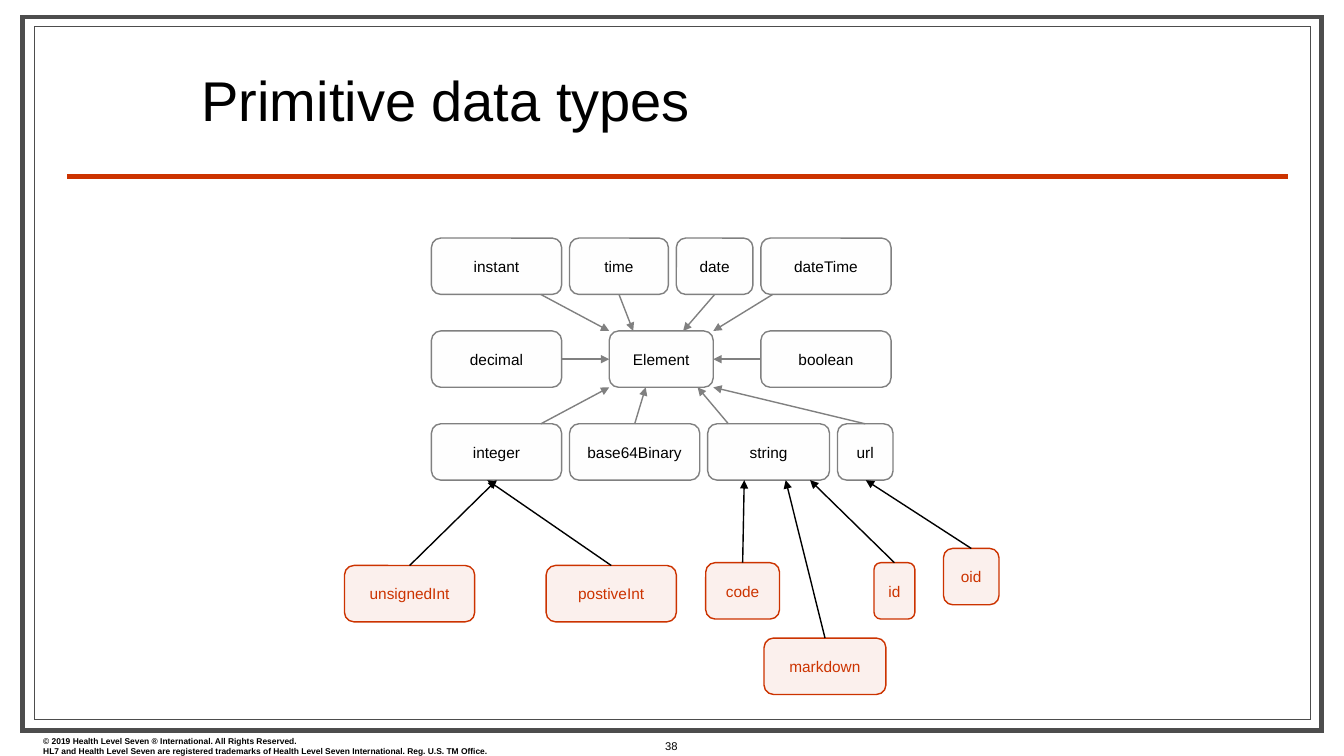
from dataclasses import dataclass
from lxml.etree import SubElement as Sub
from pptx import Presentation
from pptx.dml.color import RGBColor as Rgb
from pptx.enum.shapes import MSO_CONNECTOR as Line, MSO_SHAPE as Shape
from pptx.enum.text import MSO_ANCHOR as Anchor, MSO_AUTO_SIZE as Fit, PP_ALIGN as Align
from pptx.oxml.ns import qn
from pptx.util import Cm, Pt

# Content: rows of base types as (name, width), in cm
TITLE = "Primitive data types"
LEGAL = [
    "© 2019 Health Level Seven ® International. All Rights Reserved.",
    "HL7 and Health Level Seven are registered trademarks of Health Level Seven "
    "International. Reg. U.S. TM Office.",
]
PAGE = "38"
ROWS = [
    [("instant", 3.28), ("time", 2.49), ("date", 1.93), ("dateTime", 3.28)],
    [("decimal", 3.28), ("Element", 2.62), ("boolean", 3.28)],
    [("integer", 3.28), ("base64Binary", 3.28), ("string", 3.07), ("url", 1.4)],
]
ROW_GAPS = [0.2, 1.2, 0.2]
# Derived types: name, left, top, width
DERIVED = [
    ("unsignedInt", 8.68, 14.25, 3.28),
    ("postiveInt", 13.76, 14.25, 3.28),
    ("code", 17.78, 14.18, 1.86),
    ("id", 22.02, 14.18, 1.03),
    ("oid", 23.77, 13.82, 1.4),
    ("markdown", 19.25, 16.08, 3.07),
]
# Links: child, parent, and how far along each edge the line meets the box
LINKS = [
    ("decimal", "Element", 0.5, 0.5),
    ("boolean", "Element", 0.5, 0.5),
    ("integer", "Element", 0.84, 0),
    ("string", "Element", 0.17, 0.85),
    ("base64Binary", "Element", 0.5, 0.35),
    ("url", "Element", 0.5, 1),
    ("instant", "Element", 0.84, 0),
    ("time", "Element", 0.5, 0.23),
    ("date", "Element", 0.5, 0.71),
    ("dateTime", "Element", 0.09, 1),
    ("unsignedInt", "integer", 0.5, 0.5),
    ("postiveInt", "integer", 0.5, 0.43),
    ("code", "string", 0.5, 0.3),
    ("id", "string", 0.5, 0.84),
    ("markdown", "string", 0.5, 0.64),
    ("oid", "url", 0.5, 0.51),
]


@dataclass(frozen=True)
class Theme:
    font: str = "Arial"
    ink: str = "000000"
    paper: str = "FFFFFF"
    frame: str = "4D4D4D"
    accent: str = "CC3300"
    edge: str = "808080"
    pale: str = "F2F2F2"
    alpha: int = 7
    title: int = 40
    label: int = 11
    page: int = 8
    legal: int = 6


LOOK = Theme()
LEFT, TOP, PITCH, HIGH = 10.87, 6, 2.34, 1.42

deck = Presentation()
deck.slide_width, deck.slide_height = Cm(33.86), Cm(19.05)
slide = deck.slides.add_slide(deck.slide_layouts[5])
shapes = slide.shapes


def write(para, text, size, color=LOOK.ink, bold=False):
    run = para.add_run()
    run.text = text
    font = run.font
    font.name, font.size, font.bold = LOOK.font, Pt(size), bold
    font.color.rgb = Rgb.from_string(color)


def block(kind, place, fill, edge, weight):
    shape = shapes.add_shape(kind, *map(Cm, place))
    shape.shadow.inherit = False
    shape.fill.solid()
    shape.fill.fore_color.rgb = Rgb.from_string(fill)
    shape.line.color.rgb = Rgb.from_string(edge)
    shape.line.width = Pt(weight)
    return shape


def border(place, weight):
    shape = block(Shape.RECTANGLE, place, LOOK.paper, LOOK.frame, weight)
    Sub(shape._element.spPr.find(qn("a:ln")), qn("a:miter"), lim="800000")


def rule(start, end, color, weight, arrow=False):
    line = shapes.add_connector(Line.STRAIGHT, *map(Cm, start + end))
    line.line.color.rgb = Rgb.from_string(color)
    line.line.width = Pt(weight)
    props = line._element.spPr
    if arrow:
        Sub(props.find(qn("a:ln")), qn("a:tailEnd"), type="triangle")
    Sub(props, qn("a:effectLst"))


def note(place, lines, size, wrap, bold=False):
    frame = shapes.add_textbox(*map(Cm, place)).text_frame
    frame.word_wrap = wrap
    for i, text in enumerate(lines):
        para = frame.add_paragraph() if i else frame.paragraphs[0]
        write(para, text, size, bold=bold)


def node(name, place, fill, edge, ink):
    shape = block(Shape.ROUNDED_RECTANGLE, place, fill, edge, 1)
    tint = shape._element.spPr.find(qn("a:solidFill"))[0]
    Sub(tint, qn("a:alpha"), val=str(LOOK.alpha * 1000))
    frame = shape.text_frame
    frame.vertical_anchor = Anchor.MIDDLE
    frame.paragraphs[0].alignment = Align.CENTER
    write(frame.paragraphs[0], name, LOOK.label, ink)


def ends(child, parent, near, far):
    """Join facing sides in one row, else facing top and bottom edges."""
    (x, y, w, _), (px, py, pw, _) = child, parent
    if y == py:
        right = x < px
        return ((x + w * right, y + HIGH * near),
                (px + pw * (not right), py + HIGH * far))
    above = y < py
    return ((x + w * near, y + HIGH * above),
            (px + pw * far, py + HIGH * (not above)))


# Page frame, rule and footer
border((0.56, 0.43, 32.74, 17.98), 3.5)
border((0.86, 0.66, 32.16, 17.48), 0.75)
rule((1.7, 4.45), (32.44, 4.45), LOOK.accent, 3)
note((0.84, 18.42, 16.36, 0.76), LEGAL, LOOK.legal, True, bold=True)
note((16.51, 18.5, 0.86, 0.61), [PAGE], LOOK.page, False)

# Title, raised above the page frame
title = shapes.title
title.left, title.top, title.width, title.height = map(Cm, (5.08, 1.9, 22.8, 1.5))
frame = title.text_frame
frame.auto_size, frame.word_wrap = Fit.NONE, True
frame.vertical_anchor = Anchor.MIDDLE
frame.margin_left = frame.margin_right = frame.margin_top = frame.margin_bottom = 0
head = frame.paragraphs[0]
head.alignment, head.line_spacing = Align.LEFT, 0.8
write(head, TITLE, LOOK.title)
shapes._spTree.append(title._element)

# Type boxes
spots = {}
for i, (row, gap) in enumerate(zip(ROWS, ROW_GAPS)):
    x = LEFT
    for name, wide in row:
        spots[name] = (x, TOP + i * PITCH, wide, HIGH)
        node(name, spots[name], LOOK.pale, LOOK.edge, LOOK.ink)
        x += wide + gap
for name, x, y, wide in DERIVED:
    spots[name] = (x, y, wide, HIGH)
    node(name, spots[name], LOOK.accent, LOOK.accent, LOOK.accent)

# Arrows from each type to its parent
for child, parent, near, far in LINKS:
    start, end = ends(spots[child], spots[parent], near, far)
    rule(start, end, LOOK.edge if parent == "Element" else LOOK.ink, 1, arrow=True)

deck.save("out.pptx")
